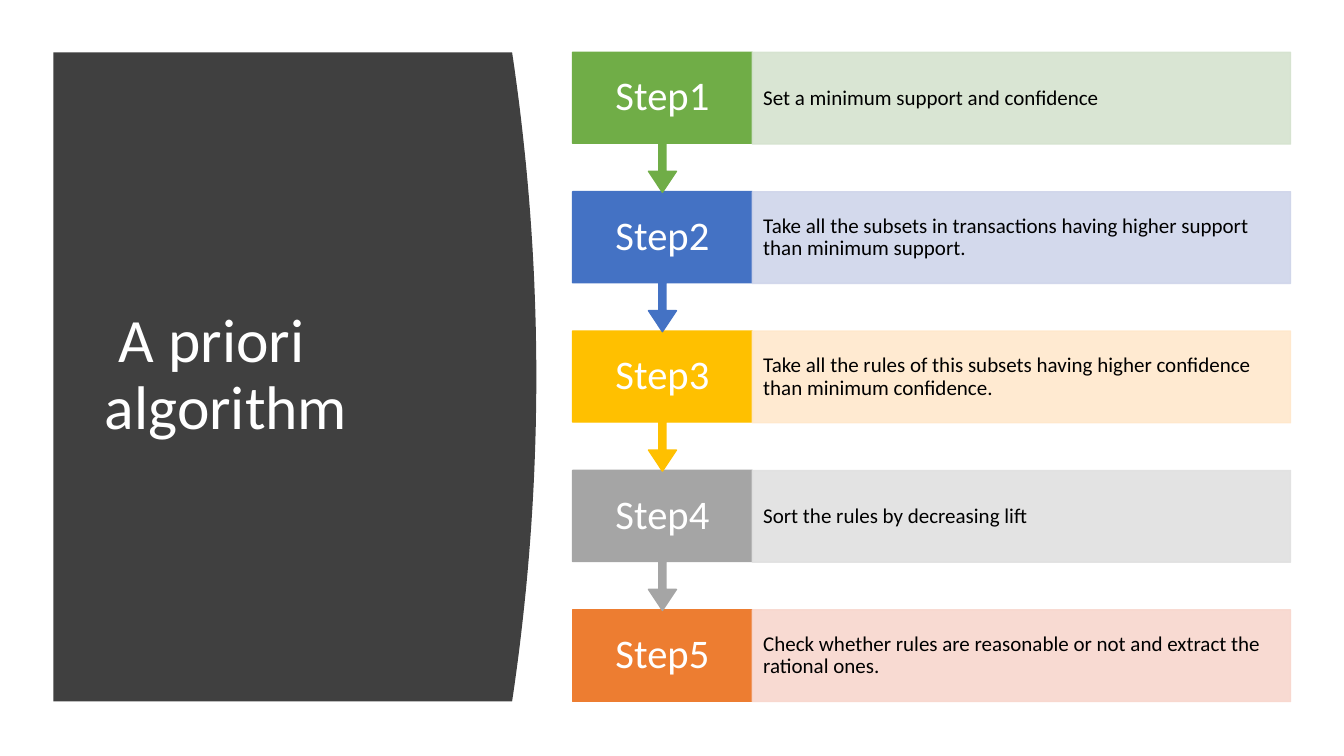
from lxml.etree import SubElement
from pptx import Presentation
from pptx.dml.color import RGBColor
from pptx.enum.shapes import MSO_SHAPE as SHAPE
from pptx.enum.text import MSO_ANCHOR as ANCHOR, MSO_AUTO_SIZE as AUTO, PP_ALIGN as ALIGN
from pptx.oxml.ns import qn
from pptx.util import Pt

TITLE = " A priori algorithm"
STEPS = [  # label, description, strong colour, pale colour
    ("Step1", "Set a minimum support and confidence", "green", "pale green"),
    ("Step2", "Take all the subsets in transactions having higher support than minimum support.",
     "blue", "pale blue"),
    ("Step3", "Take all the rules of this subsets having higher confidence than minimum confidence.",
     "gold", "pale gold"),
    ("Step4", "Sort the rules by decreasing lift", "gray", "pale gray"),
    ("Step5", "Check whether rules are reasonable or not and extract the rational ones.",
     "orange", "pale orange"),
]
COLORS = {
    "panel": "404040", "white": "FFFFFF", "black": "000000",
    "green": "70AD47", "pale green": "D5E3CF",
    "blue": "4472C4", "pale blue": "CFD5EA",
    "gold": "FFC000", "pale gold": "FFE8CC",
    "gray": "A5A5A5", "pale gray": "E1E1E1",
    "orange": "ED7D31", "pale orange": "F8D7CE",
}
FONT = "Calibri"

TOP, BOTTOM = 37.4, 501.1
PANEL_LEFT, PANEL_RIGHT, PANEL_BULGE = 38.2, 365.8, 17.3
CURVE_PARTS = 40
LABEL_LEFT, LABEL_W, DESC_W = 409, 128.4, 384.5
BOX_H, CALLOUT_H = 65.5, 100
PITCH = (BOTTOM - TOP - BOX_H) / (len(STEPS) - 1)
CALLOUT_ADJ = (0.05, 0.1, 0.15, 0.65)


def rgb(name):
    return RGBColor.from_string(COLORS[name])


def write(sp, text, size, color="white", align=ALIGN.LEFT, inset=7.2):
    tf = sp.text_frame
    tf.word_wrap = True
    tf.auto_size = AUTO.NONE
    tf.vertical_anchor = ANCHOR.MIDDLE
    tf.margin_left = tf.margin_right = Pt(inset)
    tf.margin_top = tf.margin_bottom = 0
    p = tf.paragraphs[0]
    p.alignment = align
    p.line_spacing = 0.9
    r = p.add_run()
    r.text = text
    r.font.name = FONT
    r.font.size = Pt(size)
    r.font.color.rgb = rgb(color)


def paint(sp, color, opacity=None):
    sp.shadow.inherit = False
    sp.fill.solid()
    sp.fill.fore_color.rgb = rgb(color)
    sp.line.color.rgb = rgb(color)
    sp.line.width = Pt(1)
    if opacity:
        for clr in sp._element.spPr.iter(qn("a:srgbClr")):
            SubElement(clr, qn("a:alpha"), val=str(opacity * 1000))


def add_box(s, kind, left, top, width, height):
    return s.shapes.add_shape(kind, Pt(left), Pt(top), Pt(width), Pt(height))


def add_panel(s):
    """Dark panel whose right side bulges as a parabola."""
    curve = []
    for i in range(CURVE_PARTS + 1):
        t = 2 * i / CURVE_PARTS - 1
        curve.append((Pt(PANEL_RIGHT + PANEL_BULGE * (1 - t * t)),
                      Pt(TOP + (BOTTOM - TOP) * i / CURVE_PARTS)))
    outline = s.shapes.build_freeform(Pt(PANEL_LEFT), Pt(TOP))
    outline.add_line_segments(curve + [(Pt(PANEL_LEFT), Pt(BOTTOM))], close=True)
    panel = outline.convert_to_shape()
    paint(panel, "panel")
    panel.line.fill.background()
    return panel


def add_step(s, index, label, desc, strong, pale):
    top = TOP + index * PITCH
    if index < len(STEPS) - 1:
        head = add_box(s, SHAPE.DOWN_ARROW_CALLOUT, LABEL_LEFT, top, LABEL_W, CALLOUT_H)
        for i, value in enumerate(CALLOUT_ADJ):
            head.adjustments[i] = value
    else:
        head = add_box(s, SHAPE.RECTANGLE, LABEL_LEFT, top, LABEL_W, BOX_H)
    paint(head, strong)
    write(head, label, 29, align=ALIGN.CENTER, inset=9)
    body = add_box(s, SHAPE.RECTANGLE, LABEL_LEFT + LABEL_W, top, DESC_W, BOX_H)
    paint(body, pale, opacity=90)
    write(body, desc, 15, color="black", inset=7.8)


def main():
    prs = Presentation()
    prs.slide_width, prs.slide_height = Pt(960), Pt(540)
    s = prs.slides.add_slide(prs.slide_layouts[5])

    title = s.shapes.title
    title.left, title.top, title.width, title.height = Pt(67.7), Pt(80), Pt(269.3), Pt(377.3)
    write(title, TITLE, 44)
    title._element.addprevious(add_panel(s)._element)

    # Last step first, so each arrow tip lies over the step below it
    for index, step in reversed(list(enumerate(STEPS))):
        add_step(s, index, *step)
    prs.save("out.pptx")


if __name__ == "__main__":
    main()
